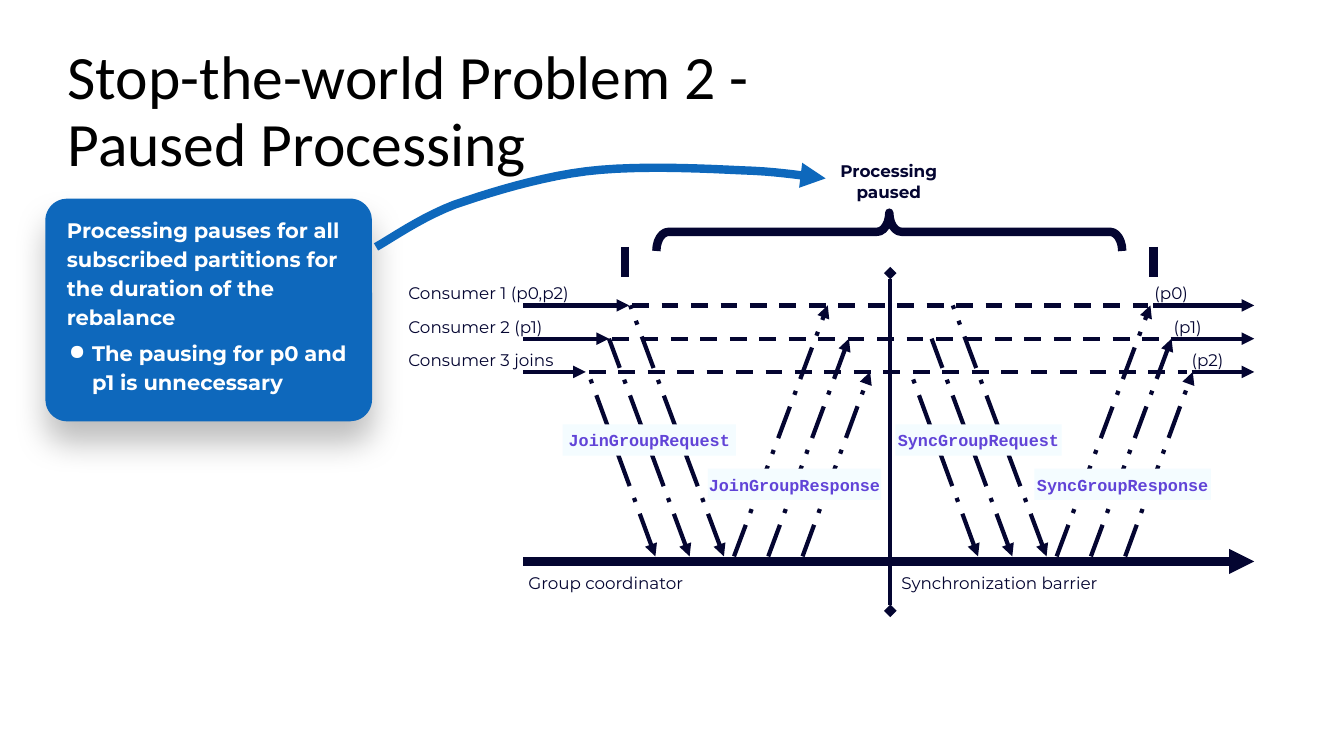
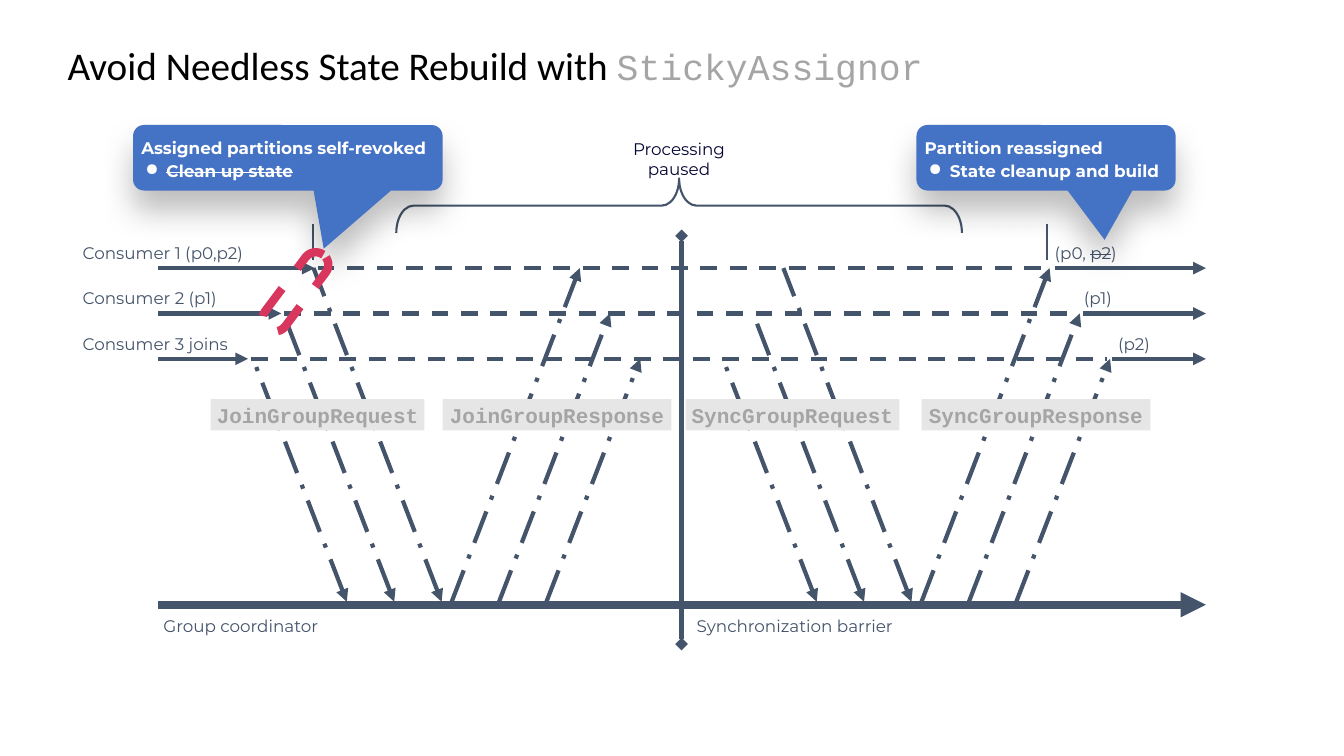
from dataclasses import dataclass

from lxml import etree
from pptx import Presentation
from pptx import util as u
from pptx.dml.color import RGBColor
from pptx.enum import dml, shapes, text
from pptx.oxml.ns import qn

NAVY, SLATE, BLACK, WHITE = "040531", "44546A", "000000", "FFFFFF"
GREY, RED, DEEP_BLUE, BLUE = "A5A5A5", "D8365D", "0E68BC", "4472C4"
BODY, CODE, HEADING = "Montserrat", "Courier New", "Calibri"
DASH = dml.MSO_LINE.DASH
DASH_DOT = dml.MSO_LINE.LONG_DASH_DOT
LABEL_INSETS = (0.05, 0.05, 0.05, 0.05)


@dataclass
class Timeline:
    """Geometry and style of one rebalance diagram, in inches."""
    ink: str
    left: float          # where the consumer and coordinator lines start
    right: float
    label_left: float
    rows: tuple          # y of each consumer line
    joins: tuple         # x where each consumer starts to wait
    resumes: tuple       # x where each consumer runs again
    results: tuple       # (x, runs) of the partitions each consumer gets
    label_lift: float
    coordinator_y: float
    foot_y: float        # lower end of the message arrows
    axes: tuple          # x about which requests and responses mirror
    foot_step: float
    top_offset: float
    top_step: float
    barrier: tuple       # x, top, bottom
    barrier_label: tuple
    brace: tuple
    ticks: tuple         # xs, top, bottom
    brace_weight: float
    paused: tuple
    paused_bold: bool


def rgb(hex_colour):
    return RGBColor.from_string(hex_colour)


def inches(values):
    return [u.Inches(v) for v in values]


def sub(parent, tag, **attrs):
    return etree.SubElement(parent, qn(tag), attrs)


def style_line(shape, colour, weight, dash=None, head=None, tail=None):
    line = shape.line
    line.color.rgb = rgb(colour)
    line.width = u.Pt(weight)
    if dash:
        line.dash_style = dash
    ln = line._get_or_add_ln()
    for tag, kind in (("a:headEnd", head), ("a:tailEnd", tail)):
        if kind:
            sub(ln, tag, type=kind)


def add_line(s, x1, y1, x2, y2, colour, weight=3, **ends):
    line = s.shapes.add_connector(shapes.MSO_CONNECTOR.STRAIGHT, *inches((x1, y1, x2, y2)))
    style_line(line, colour, weight, **ends)
    sub(line._element.spPr, "a:effectLst")


def add_shape(s, kind, box, fill=None, adjust=()):
    sp = s.shapes.add_shape(kind, *inches(box))
    sp.shadow.inherit = False
    for i, value in enumerate(adjust):
        sp.adjustments[i] = value
    if fill:
        sp.fill.solid()
        sp.fill.fore_color.rgb = rgb(fill)
        sp.line.fill.background()
    else:
        sp.fill.background()
    return sp


def soft_shadow(sp):
    effects = sp._element.spPr.find(qn("a:effectLst"))
    shadow = sub(effects, "a:outerShdw", blurRad=str(u.Pt(23)), dist=str(u.Pt(15)),
                 dir="5400000", algn="t", rotWithShape="0")
    colour = sub(shadow, "a:srgbClr", val=BLACK)
    sub(colour, "a:alpha", val="25000")


def set_frame(tf, insets, anchor=text.MSO_ANCHOR.TOP):
    tf.word_wrap = True
    tf.vertical_anchor = anchor
    tf.margin_left, tf.margin_top, tf.margin_right, tf.margin_bottom = inches(insets)


def add_runs(p, runs, size, colour, font=BODY, bold=False, align=None, spacing=None):
    """Each run is a string or a (string, overrides) pair."""
    p.alignment = align or text.PP_ALIGN.LEFT
    if spacing:
        p.line_spacing = spacing
    for run in runs:
        words, own = (run, {}) if isinstance(run, str) else run
        for i, part in enumerate(words.split("\n")):
            if i:
                p.add_line_break()
            r = p.add_run()
            r.text = part
            f = r.font
            f.name = own.get("font", font)
            f.size = u.Pt(own.get("size", size))
            f.color.rgb = rgb(own.get("colour", colour))
            f.bold = bold
            if own.get("strike"):
                r._r.get_or_add_rPr().set("strike", "sngStrike")


def add_bullet(p, hanging):
    pPr = p._p.get_or_add_pPr()
    pPr.set("marL", str(u.Inches(0.25)))
    pPr.set("indent", str(-u.Inches(hanging)))
    sub(sub(pPr, "a:buClr"), "a:srgbClr", val=WHITE)
    sub(pPr, "a:buChar", char="●")


def add_text(s, box, runs, size, colour, insets=LABEL_INSETS, **style):
    tf = s.shapes.add_textbox(*inches(box)).text_frame
    set_frame(tf, insets)
    add_runs(tf.paragraphs[0], runs, size, colour, **style)


def add_title(s, runs, size):
    add_text(s, (0.67, 0.39, 11.34, 0.62), runs, size, BLACK, (0, 0.07, 0.13, 0.07),
             font=HEADING, spacing=0.9)


def add_code_labels(s, labels, fill, colour, size):
    for x, y, width, name in labels:
        sp = add_shape(s, shapes.MSO_SHAPE.RECTANGLE, (x, y, width, 0.31), fill)
        set_frame(sp.text_frame, (0, 0.05, 0, 0.05), text.MSO_ANCHOR.MIDDLE)
        add_runs(sp.text_frame.paragraphs[0], [name], size, colour, CODE, True,
                 text.PP_ALIGN.CENTER)


def add_note(s, kind, box, adjust, fill, lead, bullet, size, insets, anchor, hanging, gap=0):
    """A shadowed box with a lead sentence and one bullet."""
    sp = add_shape(s, kind, box, fill, adjust)
    soft_shadow(sp)
    tf = sp.text_frame
    set_frame(tf, insets, anchor)
    add_runs(tf.paragraphs[0], [lead], size, WHITE, bold=True, spacing=1.15)
    p = tf.add_paragraph()
    if gap:
        p.space_before = u.Pt(gap)
    add_bullet(p, hanging)
    add_runs(p, [bullet], size, WHITE, bold=True, spacing=1.15)


def add_callout(s, box, adjust, lead, bullet):
    add_note(s, shapes.MSO_SHAPE.ROUNDED_RECTANGULAR_CALLOUT, box, adjust, BLUE, lead, bullet,
             12, (0.05, 0.02, 0.05, 0.02), text.MSO_ANCHOR.MIDDLE, 0.21)


def add_curve(s, start, segments, colour, weight, steps=10):
    """An open line through cubic Bezier segments, with an arrowhead at its start."""
    points, here = [], start
    for c1, c2, end in segments:
        for n in range(1, steps + 1):
            t = n / steps
            weights = ((1 - t) ** 3, 3 * t * (1 - t) ** 2, 3 * t * t * (1 - t), t ** 3)
            points.append(inches(sum(w * q[axis] for w, q in zip(weights, (here, c1, c2, end)))
                                 for axis in (0, 1)))
        here = end
    builder = s.shapes.build_freeform(*inches(start))
    builder.add_line_segments(points, close=False)
    sp = builder.convert_to_shape()
    sp.shadow.inherit = False
    sp.fill.background()
    style_line(sp, colour, weight, head="triangle")


def add_consumers(s, t):
    rows = zip(t.rows, t.joins, t.resumes, t.results)
    names = ("Consumer 1 (p0,p2)", "Consumer 2 (p1)", "Consumer 3 joins")
    for name, (y, join, resume, (result_x, result)) in zip(names, rows):
        add_line(s, join + 0.03, y, resume - 0.05, y, t.ink, dash=DASH)
        add_line(s, t.left, y, join, y, t.ink, tail="triangle")
        add_line(s, resume, y, t.right, y, t.ink, tail="triangle")
        label_y = y - t.label_lift
        add_text(s, (t.label_left, label_y, 1.75, 0.3), [name], 12, t.ink)
        add_text(s, (result_x, label_y, 0.81 if len(result) > 1 else 0.47, 0.3),
                 result, 12, t.ink)


def add_messages(s, t):
    """Requests fall to the coordinator, responses mirror them back up."""
    for axis in t.axes:
        for side, ends in ((-1, {"head": "triangle"}), (1, {"tail": "triangle"})):
            for i, y in enumerate(t.rows):
                foot = axis + side * (0.05 + i * t.foot_step)
                top = axis + side * (t.top_offset + i * t.top_step)
                add_line(s, foot, t.foot_y, top, y, t.ink, dash=DASH_DOT, **ends)


def add_pause(s, t):
    left, top, width, height = t.brace
    upright = (left + (width - height) / 2, top + (height - width) / 2, height, width)
    brace = add_shape(s, shapes.MSO_SHAPE.LEFT_BRACE, upright, adjust=(0.317, 0.5))
    brace.rotation = 90
    style_line(brace, t.ink, t.brace_weight)
    xs, tick_top, tick_bottom = t.ticks
    for x in xs:
        add_line(s, x, tick_top, x, tick_bottom, t.ink, t.brace_weight)
    add_text(s, (*t.paused, 1.39, 0.5), ["Processing paused"], 12, NAVY,
             bold=t.paused_bold, align=text.PP_ALIGN.CENTER)


def add_timeline(s, t):
    add_pause(s, t)
    add_line(s, t.left, t.coordinator_y, t.right, t.coordinator_y, t.ink, 6, tail="triangle")
    add_text(s, (t.left, t.coordinator_y + 0.06, 2.13, 0.3), ["Group coordinator"], 12, t.ink)
    add_consumers(s, t)
    add_messages(s, t)
    x, top, bottom = t.barrier
    add_line(s, x, bottom, x, top, t.ink, head="diamond", tail="diamond")
    add_text(s, (*t.barrier_label, 2.13, 0.3), ["Synchronization barrier"], 12, t.ink)


def paused_processing(s):
    add_title(s, ["Stop-the-world Problem 2 -\nPaused Processing"], 44)
    add_timeline(s, Timeline(
        ink=NAVY, left=5.19, right=12.44, label_left=4, rows=(3.03, 3.36, 3.69),
        joins=(6.24, 6.04, 5.81), resumes=(11.44, 11.61, 11.82),
        results=((11.4, ["(p0)"]), (11.59, ["(p1)"]), (11.77, ["(p2)"])), label_lift=0.27,
        coordinator_y=5.57, foot_y=5.52, axes=(7.23, 10.43), foot_step=0.34,
        top_offset=0.98, top_step=0.21, barrier=(8.83, 2.71, 6.06), barrier_label=(8.89, 5.63),
        brace=(6.51, 2.11, 4.62, 0.38), ticks=((6.2, 11.44), 2.45, 2.75), brace_weight=6,
        paused=(8.12, 1.55), paused_bold=True))
    add_code_labels(s, (
        (5.58, 4.21, 1.72, "JoinGroupRequest"), (7.02, 4.65, 1.72, "JoinGroupResponse"),
        (8.88, 4.21, 1.65, "SyncGroupRequest"), (10.26, 4.65, 1.75, "SyncGroupResponse"),
    ), "F4FCFF", "6144D7", 12)
    add_note(s, shapes.MSO_SHAPE.ROUNDED_RECTANGLE, (0.45, 1.97, 3.24, 2.21), (0.098,), DEEP_BLUE,
             "Processing pauses for all subscribed partitions for the duration of the rebalance",
             "The pausing for p0 and p1 is unnecessary", 15, (0.15, 0.09, 0.15, 0.02),
             text.MSO_ANCHOR.TOP, 0.23, gap=5)
    add_curve(s, (8.19, 1.77), (
        ((8.05, 1.76), (7.75, 1.7), (7.35, 1.69)),
        ((6.95, 1.67), (6.29, 1.64), (5.81, 1.7)),
        ((5.34, 1.76), (4.86, 1.91), (4.51, 2.03)),
        ((4.17, 2.16), (3.86, 2.38), (3.73, 2.45)),
    ), DEEP_BLUE, 6)


def sticky_assignor(s):
    add_title(s, ["Avoid Needless State Rebuild with ",
                  ("StickyAssignor", {"font": CODE, "size": 26, "colour": GREY})], 28)
    add_timeline(s, Timeline(
        ink=SLATE, left=1.57, right=11.96, label_left=0.77, rows=(2.66, 3.11, 3.56),
        joins=(3.12, 2.79, 2.46), resumes=(10.46, 10.74, 11.03),
        results=((10.41, ["(p0, ", ("p2", {"strike": True}), ")"]),
                 (10.7, ["(p1)"]), (11.04, ["(p2)"])), label_lift=0.3,
        coordinator_y=6, foot_y=5.97, axes=(4.43, 9.09), foot_step=0.47,
        top_offset=1.32, top_step=0.3, barrier=(6.76, 2.34, 6.39), barrier_label=(6.86, 6.06),
        brace=(3.93, 1.77, 5.61, 0.54), ticks=((3.1, 10.38), 2.22, 2.58), brace_weight=1.5,
        paused=(6.04, 1.33), paused_bold=False))
    add_code_labels(s, (
        (2.09, 3.96, 2.12, "JoinGroupRequest"), (4.39, 3.96, 2.27, "JoinGroupResponse"),
        (6.8, 3.96, 2.12, "SyncGroupRequest"), (9.14, 3.96, 2.27, "SyncGroupResponse"),
    ), "E7E6E6", GREY, 15)
    add_callout(s, (9.09, 1.24, 2.57, 0.65), (0.226, 1.253, 0.167),
                "Partition reassigned", "State cleanup and build")
    add_callout(s, (1.32, 1.24, 3.07, 0.65), (0.116, 1.388, 0.167),
                "Assigned partitions self-revoked", ("Clean up state", {"strike": True}))
    ring = add_shape(s, shapes.MSO_SHAPE.ROUNDED_RECTANGLE, (2.47, 2.77, 0.92, 0.25),
                     adjust=(0.5,))
    ring.rotation = 306.9
    ring._element.spPr.get_or_add_xfrm().set("flipH", "1")
    style_line(ring, RED, 6, dash=DASH)


def main():
    prs = Presentation()
    prs.slide_width, prs.slide_height = inches((13.33, 7.5))
    for build in (paused_processing, sticky_assignor):
        build(prs.slides.add_slide(prs.slide_layouts[6]))
    prs.save("out.pptx")


if __name__ == "__main__":
    main()
